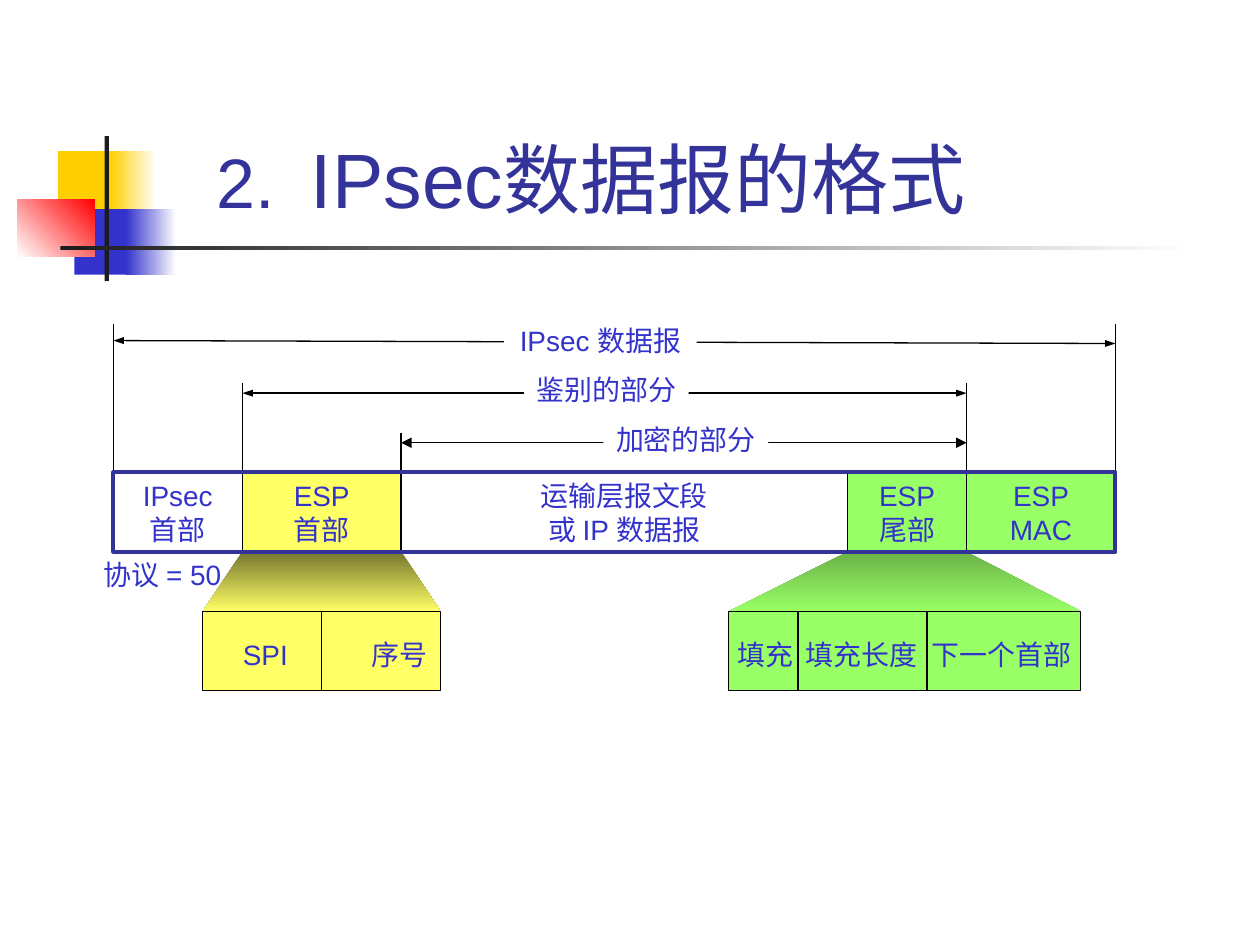
from dataclasses import dataclass
from itertools import accumulate

from lxml.etree import SubElement
from pptx import Presentation
from pptx.dml.color import RGBColor
from pptx.enum.shapes import MSO_CONNECTOR, MSO_SHAPE
from pptx.enum.text import MSO_ANCHOR, PP_ALIGN
from pptx.oxml.ns import qn
from pptx.util import Inches, Mm, Pt


@dataclass(frozen=True)
class Theme:
    font: str = "Arial"
    title_number: int = 40
    title: int = 44
    body: int = 16
    thin: float = 0.75
    thick: float = 2.25
    white: str = "FFFFFF"
    black: str = "000000"
    ink: str = "1C1C1C"
    text: str = "3333CC"
    navy: str = "333399"
    gold: str = "FFCF01"
    red: str = "FF0000"
    yellow: str = "FFFF66"
    green: str = "99FF66"
    dark_yellow: str = "76762F"
    dark_green: str = "6BB247"


THEME = Theme()
SLIDE_WIDTH, SLIDE_HEIGHT = Inches(10), Inches(7.5)
UNIT = Mm(2)
BAR_ROWS = 8
DETAIL_ROW = 14
FIELDS = [
    (13, THEME.white, "IPsec\n首部"),
    (16, THEME.yellow, "ESP\n首部"),
    (45, THEME.white, "运输层报文段\n或 IP 数据报"),
    (12, THEME.green, "ESP\n尾部"),
    (15, THEME.green, "ESP\nMAC"),
]
EDGES = list(accumulate((field[0] for field in FIELDS), initial=0))


def grid(column, row):
    """Point on the diagram grid, counted from the packet's top left corner."""
    return round(Inches(0.9) + column * UNIT), round(Inches(3.75) + row * UNIT)


def grid_box(column, row, columns, rows):
    return (*grid(column, row), round(columns * UNIT), round(rows * UNIT))


def percent_box(left, top, width, height):
    return tuple(round(share * side / 100) for share, side in
                 zip((left, top, width, height), (SLIDE_WIDTH, SLIDE_HEIGHT) * 2))


def color(code):
    return RGBColor.from_string(code)


def paint(shape, fill=None, line=None, width=THEME.thin, angle=0):
    """Fill with nothing, one colour, or a pair of colours as a gradient."""
    shape.shadow.inherit = False
    if fill is None:
        shape.fill.background()
    elif isinstance(fill, tuple):
        shape.fill.gradient()
        shape.fill.gradient_angle = angle
        for stop, code in zip(shape.fill.gradient_stops, fill):
            stop.color.rgb = color(code)
    else:
        shape.fill.solid()
        shape.fill.fore_color.rgb = color(fill)
    if line:
        shape.line.color.rgb = color(line)
        shape.line.width = Pt(width)
    else:
        shape.line.fill.background()


def add_rect(page, box, *style, **options):
    rect = page.shapes.add_shape(MSO_SHAPE.RECTANGLE, *box)
    paint(rect, *style, **options)
    return rect


def style_span(span, size=THEME.body, code=THEME.text):
    span.font.name = THEME.font
    span.font.size = Pt(size)
    span.font.color.rgb = color(code)


def write(shape, text, centered=True, anchor=MSO_ANCHOR.MIDDLE, spacing=None):
    frame = shape.text_frame
    frame.text = text
    frame.word_wrap = not centered
    frame.vertical_anchor = anchor
    for para in frame.paragraphs:
        para.alignment = PP_ALIGN.CENTER if centered else PP_ALIGN.LEFT
        para.line_spacing = spacing
        for span in para.runs:
            style_span(span)


def set_tabs(para, stops):
    tab_list = SubElement(para._p.get_or_add_pPr(), qn("a:tabLst"))
    for stop in stops:
        SubElement(tab_list, qn("a:tab"), pos=str(Inches(stop)), algn="l")


def add_text(page, box, text, stops=()):
    note = page.shapes.add_textbox(*box)
    write(note, text, centered=False, anchor=MSO_ANCHOR.TOP)
    set_tabs(note.text_frame.paragraphs[0], stops)


def add_line(page, start, end, head_width=None):
    """Thin line between grid points; a head width gives it two arrowheads."""
    line = page.shapes.add_connector(MSO_CONNECTOR.STRAIGHT, *grid(*start), *grid(*end))
    line.line.color.rgb = color(THEME.black)
    line.line.width = Pt(THEME.thin)
    if head_width:
        for tag in ("a:headEnd", "a:tailEnd"):
            SubElement(line.line._ln, qn(tag), type="triangle", w=head_width, len="med")
    SubElement(line._element.spPr, qn("a:effectLst"))
    return line


def add_span_arrow(page, start, end, label_box, text, head_width):
    add_line(page, start, end, head_width)
    label = add_rect(page, grid_box(*label_box), THEME.white)
    write(label, text, anchor=MSO_ANCHOR.TOP, spacing=1.1)


def add_funnel(page, top_edges, bottom_edges, fill):
    """Shaded trapezoid leading from a packet field to its details."""
    (left, right), (low_left, low_right) = top_edges, bottom_edges
    builder = page.shapes.build_freeform(*grid(left, BAR_ROWS))
    builder.add_line_segments([grid(low_left, DETAIL_ROW), grid(low_right, DETAIL_ROW),
                               grid(right, BAR_ROWS)], close=True)
    paint(builder.convert_to_shape(), fill, angle=270)


def add_ornament(page):
    for box, fill, angle in [
        ((4.6, 16, 4.8, 6.93), THEME.gold, 0),
        ((8.8, 16, 3.6, 6.93), (THEME.gold, THEME.white), 0),
        ((5.9, 22.13, 4.6, 6.93), THEME.text, 0),
        ((10, 22.13, 4, 6.93), (THEME.text, THEME.white), 0),
        ((1.4, 21.07, 6.1, 6.13), (THEME.white, THEME.red), 45),
        ((8.3, 14.4, 0.35, 15.33), THEME.ink, 0),
        ((4.8, 26, 90, 0.47), (THEME.ink, THEME.white), 0),
    ]:
        add_rect(page, percent_box(*box), fill, angle=angle)


def add_title(page):
    title = page.shapes.add_textbox(*percent_box(16.2, 14.27, 70, 10.13))
    write(title, "2.\t", centered=False, anchor=MSO_ANCHOR.BOTTOM)
    para = title.text_frame.paragraphs[0]
    para.add_run().text = "IPsec数据报的格式"
    for span, size in zip(para.runs, (THEME.title_number, THEME.title)):
        style_span(span, size, THEME.navy)
    set_tabs(para, [0.75])


def add_packet(page):
    for left, (columns, fill, text) in zip(EDGES, FIELDS):
        write(add_rect(page, grid_box(left, 0, columns, BAR_ROWS), fill, THEME.black), text)
    add_text(page, grid_box(-2.2, BAR_ROWS, 17, 4.7), "协议 = 50")


def add_spans(page):
    start, esp, payload, _, mac, end = EDGES
    for column, row in [(mac, -9), (esp, -9), (payload, -4), (start, -15), (end, -15)]:
        add_line(page, (column, row), (column, 0))
    add_span_arrow(page, (payload, -3), (mac, -3), (49.4, -6, 16.6, 5), "加密的部分", "med")
    add_span_arrow(page, (esp, -8), (mac, -8), (41.4, -11, 16.6, 5), "鉴别的部分", "sm")
    add_span_arrow(page, (start, -13.3), (end, -13), (39.4, -16, 19.4, 5), "IPsec 数据报", "sm")


def add_details(page):
    header = add_rect(page, grid_box(9, DETAIL_ROW, 24, BAR_ROWS), THEME.yellow, THEME.black)
    divider = add_line(page, (21, DETAIL_ROW), (21, DETAIL_ROW + BAR_ROWS))
    divider.begin_connect(header, 0)
    divider.end_connect(header, 2)
    add_text(page, grid_box(11.8, 16, 21.2, 4.7), "SPI\t序号", [1.02])
    add_rect(page, grid_box(62, DETAIL_ROW, 35.5, BAR_ROWS), THEME.green, THEME.black)
    add_text(page, grid_box(61.7, 16, 38, 4.7), "填充\t填充长度\t下一个首部", [0.54, 1.54])
    for column in (69, 82):
        add_line(page, (column, DETAIL_ROW), (column, DETAIL_ROW + BAR_ROWS))


def main():
    deck = Presentation()
    deck.slide_width, deck.slide_height = SLIDE_WIDTH, SLIDE_HEIGHT
    page = deck.slides.add_slide(deck.slide_layouts[6])
    add_ornament(page)
    add_title(page)
    add_funnel(page, EDGES[3:5], (62, 97.5), (THEME.dark_green, THEME.green))
    add_funnel(page, EDGES[1:3], (9, 33), (THEME.dark_yellow, THEME.yellow))
    add_packet(page)
    add_spans(page)
    add_rect(page, grid_box(0, 0, EDGES[-1], BAR_ROWS), None, THEME.navy, THEME.thick)
    add_details(page)
    deck.save("out.pptx")


if __name__ == "__main__":
    main()
